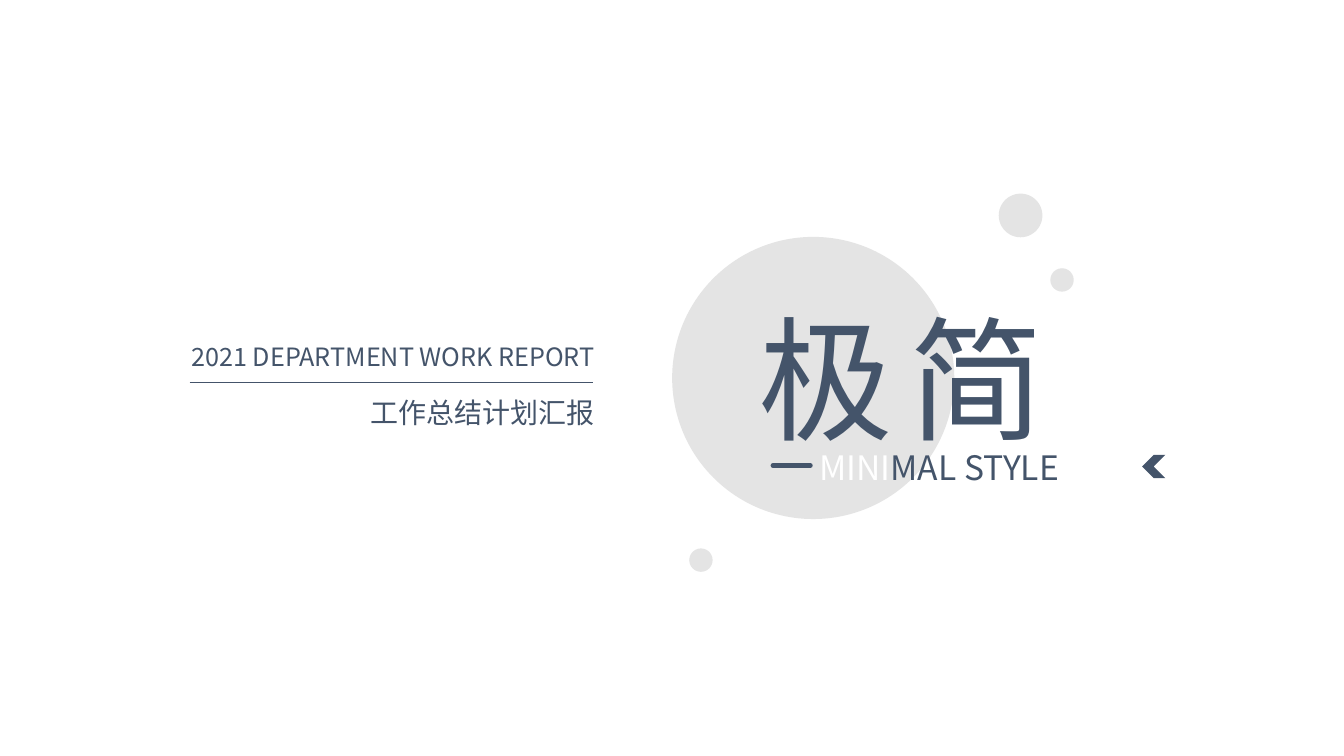
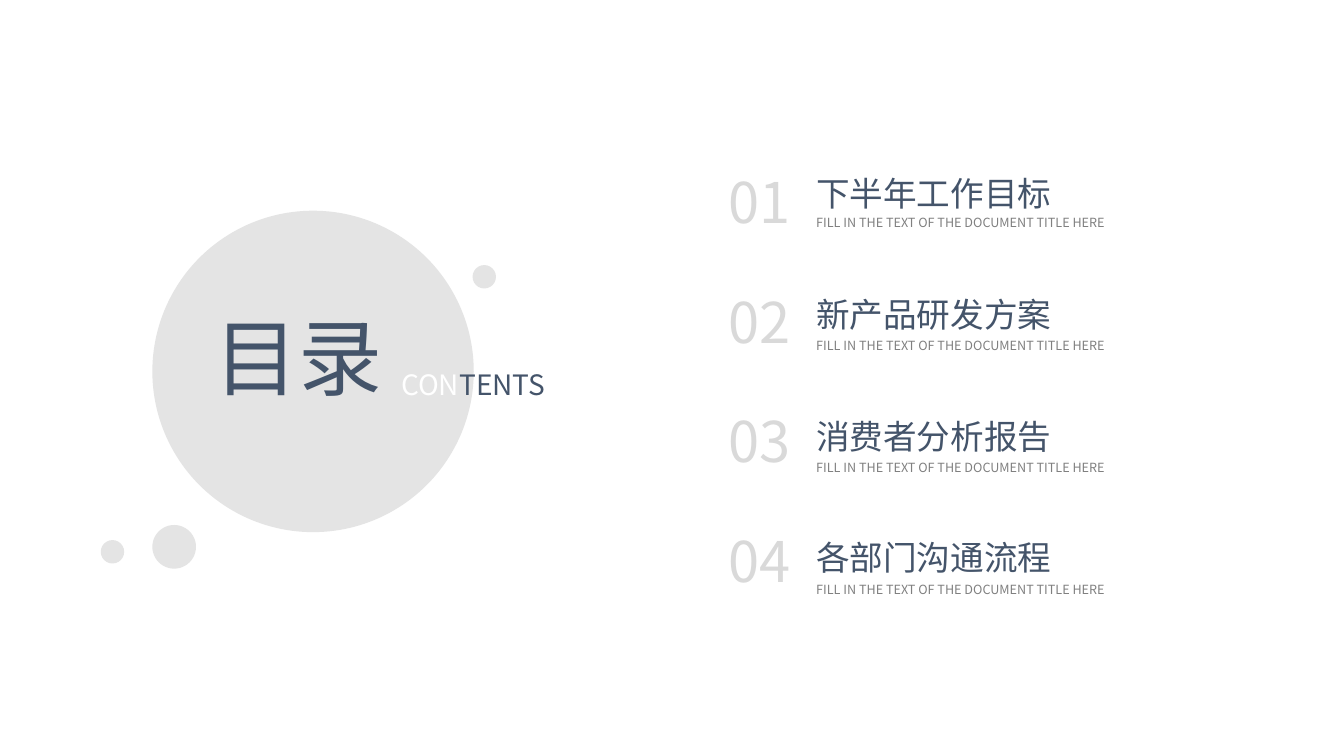
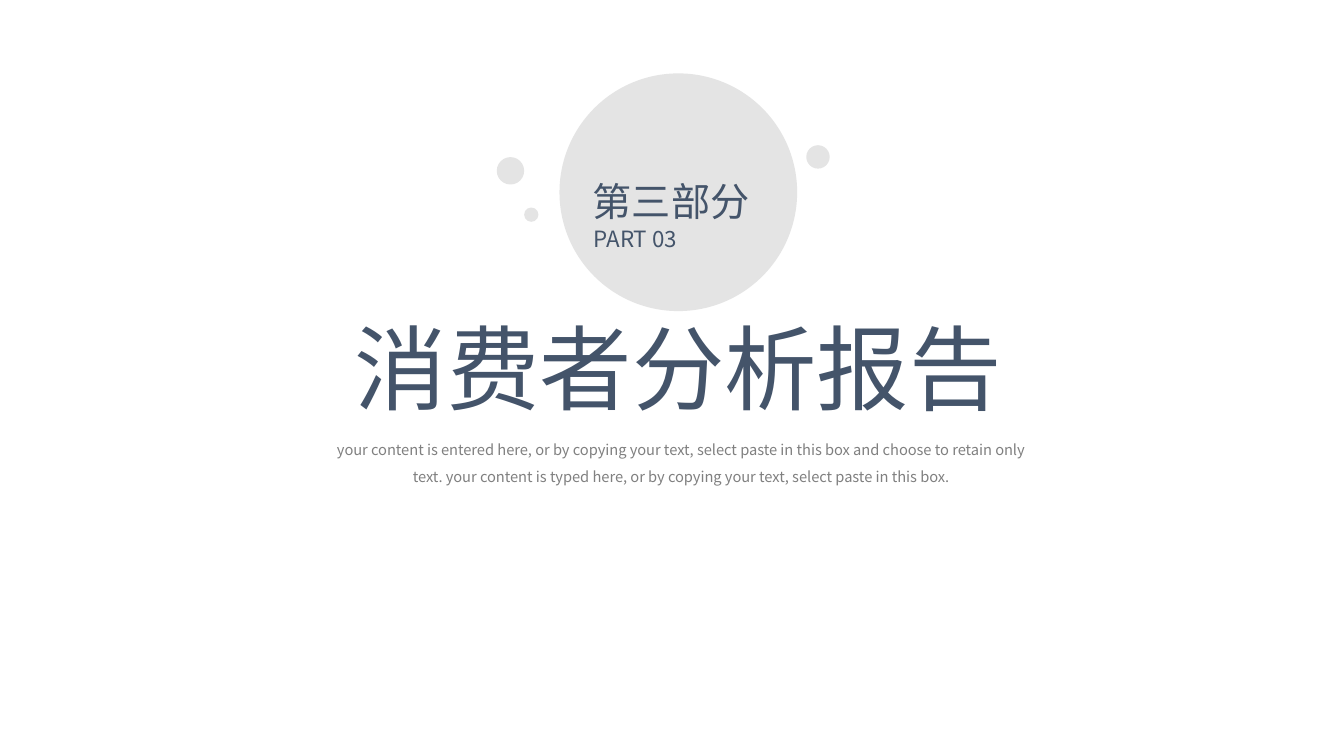
from dataclasses import dataclass

from lxml.etree import SubElement
from pptx import Presentation
from pptx.dml.color import RGBColor
from pptx.enum.shapes import MSO_CONNECTOR, MSO_SHAPE
from pptx.enum.text import MSO_ANCHOR, MSO_AUTO_SIZE, PP_ALIGN
from pptx.oxml.ns import qn
from pptx.util import Cm, Pt


@dataclass(frozen=True)
class Theme:
    font: str = "Noto Sans CJK SC"
    navy: str = "44546A"
    pale: str = "D9D9D9"
    gray: str = "808080"
    white: str = "FFFFFF"
    circle_opacity: int = 70
    # Type sizes in points
    cover: float = 96
    section: float = 66
    contents: float = 60
    number: float = 40
    section_number: float = 28
    heading: float = 24
    label: float = 20
    report: float = 18
    section_label: float = 16
    body: float = 10.5
    caption: float = 9


THEME = Theme()
LEFT, CENTER, RIGHT = PP_ALIGN.LEFT, PP_ALIGN.CENTER, PP_ALIGN.RIGHT

# Content: circles are (left, top, diameter) in centimetres
COVER_CIRCLES = [(16.94, 5.97, 7.11), (25.17, 4.88, 1.1), (26.47, 6.76, 0.59), (17.37, 13.82, 0.59)]
CONTENTS_CIRCLES = [(3.84, 5.31, 8.1), (3.84, 13.23, 1.1), (2.54, 13.61, 0.59), (11.91, 6.68, 0.59)]
SECTION_CIRCLES = [(14.1, 1.85, 5.99), (12.52, 3.96, 0.69), (13.21, 5.23, 0.36), (20.32, 3.66, 0.59)]

CHAPTERS = ["下半年工作目标", "新产品研发方案", "消费者分析报告", "各部门沟通流程"]
CHAPTER_CAPTION = "FILL IN THE TEXT OF THE DOCUMENT TITLE HERE"
SECTION_TEXT = (
    "your content is entered here, or by copying your text, select paste in this box and choose "
    "to retain only text. your content is typed here, or by copying your text, select paste in this box."
)


def color(value):
    return RGBColor.from_string(value)


def fill_solid(shape, value):
    shape.shadow.inherit = False
    shape.fill.solid()
    shape.fill.fore_color.rgb = color(value)
    shape.line.fill.background()


def add_circle(page, left, top, diameter):
    circle = page.shapes.add_shape(
        MSO_SHAPE.FLOWCHART_CONNECTOR, Cm(left), Cm(top), Cm(diameter), Cm(diameter))
    fill_solid(circle, THEME.pale)
    tint = circle._element.spPr.find(f"{qn('a:solidFill')}/{qn('a:srgbClr')}")
    SubElement(tint, qn("a:alpha"), val=str(THEME.circle_opacity * 1000))


def add_line(page, left, right, y, width, cap="flat"):
    line = page.shapes.add_connector(MSO_CONNECTOR.STRAIGHT, Cm(left), Cm(y), Cm(right), Cm(y))
    line.line.color.rgb = color(THEME.navy)
    line.line.width = Pt(width)
    line.line._get_or_add_ln().set("cap", cap)
    SubElement(line._element.spPr, qn("a:effectLst"))


def write(box, spans, size, align=LEFT, spacing=None, tracking=0):
    """Fill a box with one paragraph of (text, colour) spans."""
    frame = box.text_frame
    frame.word_wrap = True
    frame.auto_size = MSO_AUTO_SIZE.NONE
    frame.vertical_anchor = MSO_ANCHOR.TOP
    para = frame.paragraphs[0]
    para.alignment = align
    if spacing:
        para.line_spacing = spacing
    for text, value in spans:
        span = para.add_run()
        span.text = text
        span.font.size = Pt(size)
        span.font.name = THEME.font
        span.font.color.rgb = color(value)
        properties = span._r.get_or_add_rPr()
        SubElement(properties, qn("a:ea"), typeface=THEME.font)
        if tracking:
            properties.set("spc", str(tracking * 100))


def add_text(page, area, text, size, value=THEME.navy, **style):
    box = page.shapes.add_textbox(*map(Cm, area))
    spans = [(text, value)] if isinstance(text, str) else text
    write(box, spans, size, **style)


def add_page(deck, circles, title, area, size, tracking=0):
    """Start a page: circles behind, the title in front of them."""
    page = deck.slides.add_slide(deck.slide_layouts[5])
    for circle in circles:
        add_circle(page, *circle)
    heading = page.shapes.title
    heading.left, heading.top, heading.width, heading.height = map(Cm, area)
    write(heading, [(title, THEME.navy)], size, tracking=tracking)
    page.shapes._spTree.append(heading._element)
    return page


def build_cover(deck):
    page = add_page(deck, COVER_CIRCLES, "极简", (18.87, 7.34, 8.8, 4.37), THEME.cover, tracking=12)
    add_text(page, (20.4, 11.13, 8.31, 1.27),
             [("MINI", THEME.white), ("MAL STYLE", THEME.navy)], THEME.heading)
    add_line(page, 19.48, 20.42, 11.73, 3.5, cap="rnd")
    arrow = page.shapes.add_shape(MSO_SHAPE.CHEVRON, Cm(28.78), Cm(11.46), Cm(0.59), Cm(0.59))
    arrow.rotation = 180
    fill_solid(arrow, THEME.navy)
    # Report name above and below the rule
    add_text(page, (3.91, 8.48, 11.33, 1.02), "2021 DEPARTMENT WORK REPORT", THEME.report, align=RIGHT)
    add_line(page, 4.78, 14.94, 9.63, 0.5)
    add_text(page, (6.22, 9.83, 9.02, 1.12), "工作总结计划汇报", THEME.label, align=RIGHT)


def build_contents(deck):
    page = add_page(deck, CONTENTS_CIRCLES, "目录", (5.16, 7.57, 5, 2.82), THEME.contents)
    add_text(page, (9.86, 9.14, 5, 1.12),
             [("CON", THEME.white), ("TENTS", THEME.navy)], THEME.label)
    # Each column of the list keeps its own pitch
    for row, chapter in enumerate(CHAPTERS):
        add_text(page, (18.11, 4.09 + 3.02 * row, 2.18, 1.96), f"{row + 1:02}", THEME.number, THEME.pale)
        add_text(page, (20.32, 4.23 + 3.06 * row, 6.6, 1.27), chapter, THEME.heading)
        add_text(page, (20.32, 5.3 + 3.08 * row, 8.2, 0.64), CHAPTER_CAPTION, THEME.caption, THEME.gray)


def build_section(deck):
    page = add_page(deck, SECTION_CIRCLES, CHAPTERS[2], (8.69, 7.7, 17.2, 3.07), THEME.section)
    add_text(page, (14.69, 4.34, 5, 1.45), "第三部分", THEME.section_number)
    add_text(page, (14.71, 5.56, 4.93, 0.94), "PART 03", THEME.section_label)
    add_text(page, (8.18, 10.77, 17.98, 1.55), SECTION_TEXT, THEME.body, THEME.gray,
             align=CENTER, spacing=1.5)


def main():
    deck = Presentation()
    deck.slide_width, deck.slide_height = Cm(33.87), Cm(19.05)
    for build in (build_cover, build_contents, build_section):
        build(deck)
    deck.save("out.pptx")


if __name__ == "__main__":
    main()
